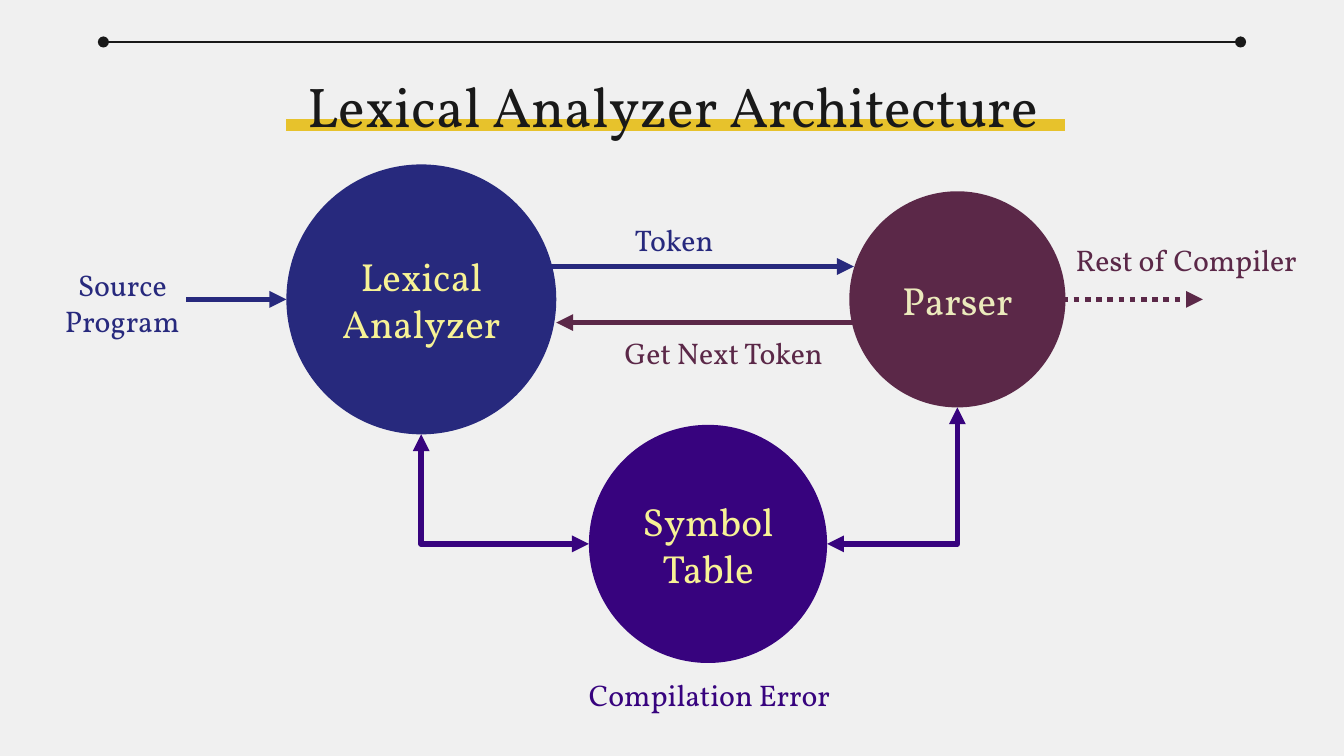
from dataclasses import dataclass

from lxml import etree
from pptx import Presentation
from pptx import util as u
from pptx.dml.color import RGBColor
from pptx.enum import dml, shapes, text
from pptx.oxml.ns import qn


@dataclass(frozen=True)
class Theme:
    """Colours, type sizes and font of the slide."""
    font: str = "Vollkorn"
    paper: str = "F0F0F0"
    ink: str = "191919"
    accent: str = "E7C22C"
    lexer: str = "27297D"
    parser: str = "5B2848"
    symbols: str = "37037E"
    yellow: str = "F7F295"
    cream: str = "EBEABC"
    title: int = 30
    node: int = 21
    label: int = 16
    arrow: int = 3


@dataclass(frozen=True)
class Circle:
    """A circle given by its centre and radius."""
    x: float
    y: float
    r: float


THEME = Theme()
LEXER = Circle(225.7, 160.4, 72.3)
PARSER = Circle(512.9, 160.4, 57.9)
SYMBOLS = Circle(379.3, 291.4, 63.8)


def rgb(color):
    """Turn a hex string into a colour."""
    return RGBColor.from_string(color)


def write(s, content, size, color, anchor):
    """Put centred text into a shape."""
    tf = s.text_frame
    tf.text = content
    tf.word_wrap = True
    tf.vertical_anchor = anchor
    tf.margin_left = tf.margin_right = tf.margin_top = tf.margin_bottom = u.Pt(7.2)
    for p in tf.paragraphs:
        p.alignment = text.PP_ALIGN.CENTER
        for r in p.runs:
            r.font.name = THEME.font
            r.font.size = u.Pt(size)
            r.font.color.rgb = rgb(color)


def add_label(slide, box, content, color, size=THEME.label, anchor=text.MSO_ANCHOR.BOTTOM):
    """Add a text box at left, top, width, height."""
    s = slide.shapes.add_textbox(*map(u.Pt, box))
    write(s, content, size, color, anchor)


def add_node(slide, circle, content, fill, color):
    """Add a filled circle with a name inside."""
    box = (circle.x - circle.r, circle.y - circle.r, 2 * circle.r, 2 * circle.r)
    s = slide.shapes.add_shape(shapes.MSO_SHAPE.OVAL, *map(u.Pt, box))
    s.shadow.inherit = False
    s.fill.solid()
    s.fill.fore_color.rgb = rgb(fill)
    s.line.fill.background()
    write(s, content, THEME.node, color, text.MSO_ANCHOR.MIDDLE)


def add_line(slide, start, end, color, width=THEME.arrow, head=None, tail=None,
             dash=None, bent=False):
    """Add a straight or one-corner connector with optional line ends."""
    kind = shapes.MSO_CONNECTOR.ELBOW if bent else shapes.MSO_CONNECTOR.STRAIGHT
    s = slide.shapes.add_connector(kind, *map(u.Pt, (*start, *end)))
    s.line.color.rgb = rgb(color)
    s.line.width = u.Pt(width)
    if dash:
        s.line.dash_style = dash
    sp = s._element.spPr
    if bent:
        sp.find(qn("a:prstGeom")).set("prst", "bentConnector2")
    for tag, style in (("a:headEnd", head), ("a:tailEnd", tail)):
        if style:
            etree.SubElement(sp.find(qn("a:ln")), qn(tag), type=style)
    etree.SubElement(sp, qn("a:effectLst"))


def add_heading(slide):
    """Add the top rule and the underlined title."""
    add_line(slide, (LEXER.x - LEXER.r, 67), (PARSER.x + PARSER.r, 67), THEME.accent, 6)
    add_label(slide, (56.9, 31, 607, 46.8), "Lexical Analyzer Architecture",
              THEME.ink, THEME.title, text.MSO_ANCHOR.TOP)
    add_line(slide, (55.4, 22.5), (664.6, 22.5), THEME.ink, 0.75, "oval", "oval")


def add_nodes(slide):
    """Add the three parts of the architecture."""
    add_node(slide, LEXER, "Lexical\nAnalyzer", THEME.lexer, THEME.yellow)
    add_node(slide, PARSER, "Parser", THEME.parser, THEME.cream)
    add_node(slide, SYMBOLS, "Symbol\nTable", THEME.symbols, THEME.yellow)


def add_arrows(slide):
    """Add the flows between the parts."""
    tip = "triangle"
    add_line(slide, (291, 142.8), (457.4, 142.8), THEME.lexer, tail=tip)
    add_line(slide, (463, 172.8), (LEXER.x + LEXER.r, 172.8), THEME.parser, tail=tip)
    for side, node in ((-1, LEXER), (1, PARSER)):
        add_line(slide, (SYMBOLS.x + side * SYMBOLS.r, SYMBOLS.y),
                 (node.x, node.y + node.r), THEME.symbols, head=tip, tail=tip, bent=True)
    add_line(slide, (99.8, LEXER.y), (LEXER.x - LEXER.r, LEXER.y), THEME.lexer, tail=tip)
    add_line(slide, (563.2, PARSER.y), (644.4, PARSER.y), THEME.parser, tail=tip,
             dash=dml.MSO_LINE.ROUND_DOT)


def add_labels(slide):
    """Add the names of the flows."""
    for box, content, color in (
        ((21.6, 142.4, 87.8, 46.2), "Source\nProgram", THEME.lexer),
        ((302.4, 360, 155.5, 28.8), "Compilation Error", THEME.symbols),
        ((326.9, 119.5, 68.4, 25.9), "Token", THEME.lexer),
        ((315.4, 180, 144.7, 25.9), "Get Next Token", THEME.parser),
        ((563.2, 129.8, 144.7, 25.9), "Rest of Compiler", THEME.parser),
    ):
        add_label(slide, box, content, color)


def main():
    """Build the slide and save it."""
    prs = Presentation()
    prs.slide_width, prs.slide_height = u.Pt(720), u.Pt(405)
    slide = prs.slides.add_slide(prs.slide_layouts[6])
    slide.background.fill.solid()
    slide.background.fill.fore_color.rgb = rgb(THEME.paper)
    add_heading(slide)
    add_nodes(slide)
    add_arrows(slide)
    add_labels(slide)
    prs.save("out.pptx")


if __name__ == "__main__":
    main()
